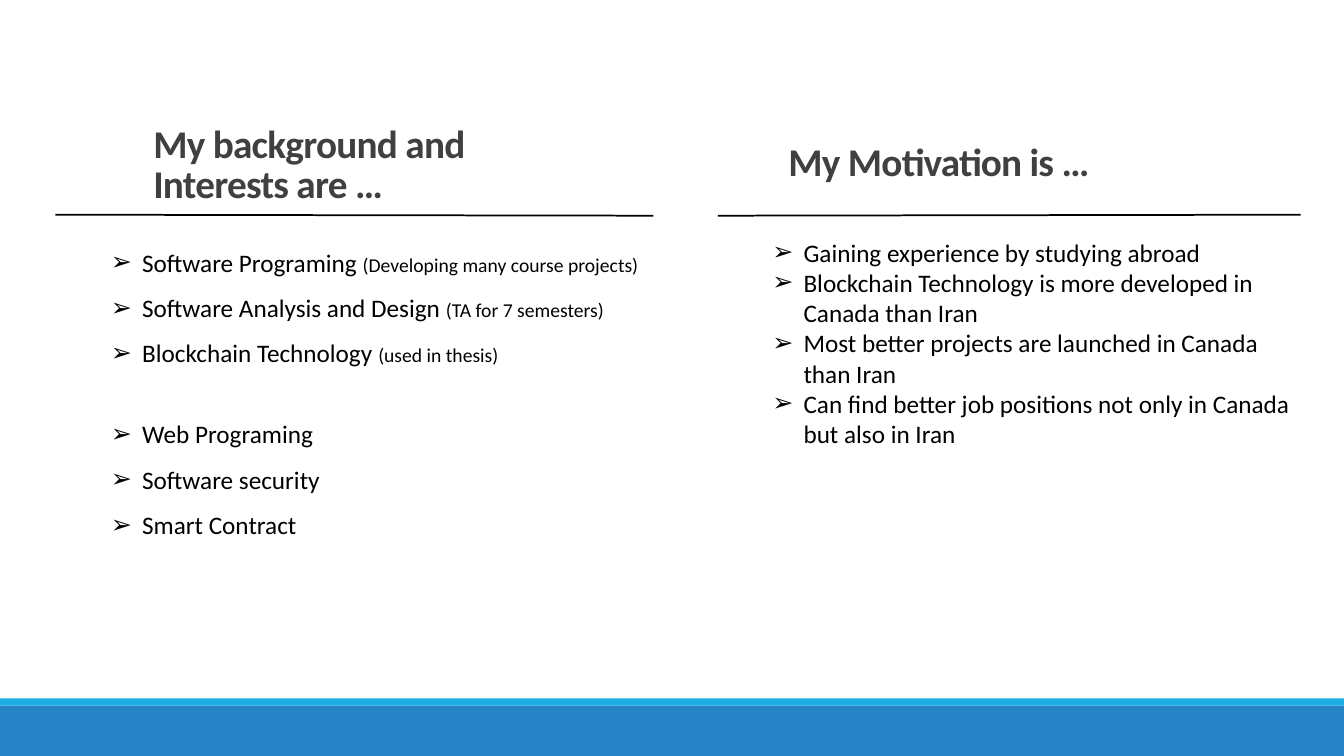
import pptx
import pptx.dml.color
import pptx.enum.shapes
import pptx.enum.text
import pptx.oxml
import pptx.oxml.ns
import pptx.util
from pptx.util import Inches

COLORS = {"heading": "404040", "body": "000000", "band": "2683C6", "stripe": "1CADE4"}
FONT = "Calibri"
INDENT = 0.31

BANDS = [("band", 7, 0.5), ("stripe", 6.93, 0.07)]

COLUMNS = [
    {
        "heading": ["My background and", "Interests are …"],
        "heading_holder": 0,
        "heading_box": (1.42, 1.21, 6, 1.04),
        "rule": (0.55, 2.13, 6.48, 2.14),
        "list_holder": 2,
        "list_box": (1, 2.25, 5.65, 3.18),
        "line_spacing": 1.5,
        "items": [
            ("Software Programing ", "(Developing many course projects)", 0),
            ("Software Analysis and Design ", "(TA for 7 semesters)", 0),
            ("Blockchain Technology ", "(used in thesis)", 0),
            ("Web Programing", "", 25.5),
            ("Software security", "", 0),
            ("Smart Contract", "", 0),
        ],
    },
    {
        "heading": ["My Motivation is …"],
        "heading_holder": 3,
        "heading_box": (7.72, 1.38, 6, 1.04),
        "rule": (7.12, 2.14, 12.9, 2.13),
        "list_holder": 4,
        "list_box": (7.56, 2.3, 5.34, 2.52),
        "line_spacing": 1.0,
        "items": [
            ("Gaining experience by studying abroad", "", 0),
            ("Blockchain Technology is more developed in Canada than Iran", "", 0),
            ("Most better projects are launched in Canada than Iran", "", 0),
            ("Can find better job positions not only in Canada but also in Iran", "", 0),
        ],
    },
]


def color(name):
    return pptx.dml.color.RGBColor.from_string(COLORS[name])


def place(slide, holder_index, box):
    holder = next(p for p in slide.placeholders if p.placeholder_format.idx == holder_index)
    holder.left, holder.top, holder.width, holder.height = map(Inches, box)
    frame = holder.text_frame
    frame.word_wrap = True
    frame.auto_size = pptx.enum.text.MSO_AUTO_SIZE.NONE
    frame.vertical_anchor = pptx.enum.text.MSO_ANCHOR.TOP
    return frame


def next_paragraph(frame, position, line_spacing, space_before=0):
    paragraph = frame.add_paragraph() if position else frame.paragraphs[0]
    paragraph.alignment = pptx.enum.text.PP_ALIGN.LEFT
    paragraph.line_spacing = line_spacing
    paragraph.space_before = pptx.util.Pt(space_before)
    return paragraph


def add_run(paragraph, words, size, color_name, bold=False):
    run = paragraph.add_run()
    run.text = words
    run.font.name = FONT
    run.font.size = pptx.util.Pt(size)
    run.font.bold = bold
    run.font.color.rgb = color(color_name)
    return run


def add_bullet(paragraph):
    properties = paragraph._p.get_or_add_pPr()
    properties.set("marL", str(Inches(INDENT)))
    properties.set("indent", str(-Inches(INDENT)))
    bullet = pptx.oxml.parse_xml(f'<a:buChar {pptx.oxml.ns.nsdecls("a")} char="➢"/>')
    properties.append(bullet)


def add_heading(slide, column):
    frame = place(slide, column["heading_holder"], column["heading_box"])
    for position, words in enumerate(column["heading"]):
        paragraph = next_paragraph(frame, position, 0.85)
        run = add_run(paragraph, words, 28, "heading", bold=True)
        run.font._element.set("spc", "-50")


def add_rule(slide, ends):
    rule = slide.shapes.add_connector(
        pptx.enum.shapes.MSO_CONNECTOR.STRAIGHT, *map(Inches, ends))
    rule.line.color.rgb = color("body")
    rule.line.width = pptx.util.Pt(1.25)
    rule._element.spPr.append(
        pptx.oxml.parse_xml(f'<a:effectLst {pptx.oxml.ns.nsdecls("a")}/>'))


def add_list(slide, column):
    frame = place(slide, column["list_holder"], column["list_box"])
    for position, (topic, detail, gap) in enumerate(column["items"]):
        paragraph = next_paragraph(frame, position, column["line_spacing"], gap)
        add_bullet(paragraph)
        add_run(paragraph, topic, 18, "body")
        if detail:
            add_run(paragraph, detail, 14, "body")


def main():
    deck = pptx.Presentation()
    deck.slide_width = Inches(13.33)
    deck.slide_height = Inches(7.5)
    slide = deck.slides.add_slide(deck.slide_layouts.get_by_name("Comparison"))

    for name, top, height in BANDS:
        band = slide.shapes.add_shape(
            pptx.enum.shapes.MSO_SHAPE.RECTANGLE,
            0, Inches(top), deck.slide_width, Inches(height))
        band.shadow.inherit = False
        band.fill.solid()
        band.fill.fore_color.rgb = color(name)
        band.line.fill.background()

    for column in COLUMNS:
        add_heading(slide, column)
        add_rule(slide, column["rule"])
        add_list(slide, column)

    for holder in list(slide.placeholders):
        if not holder.text_frame.text:
            holder._element.getparent().remove(holder._element)

    deck.save("out.pptx")


if __name__ == "__main__":
    main()
